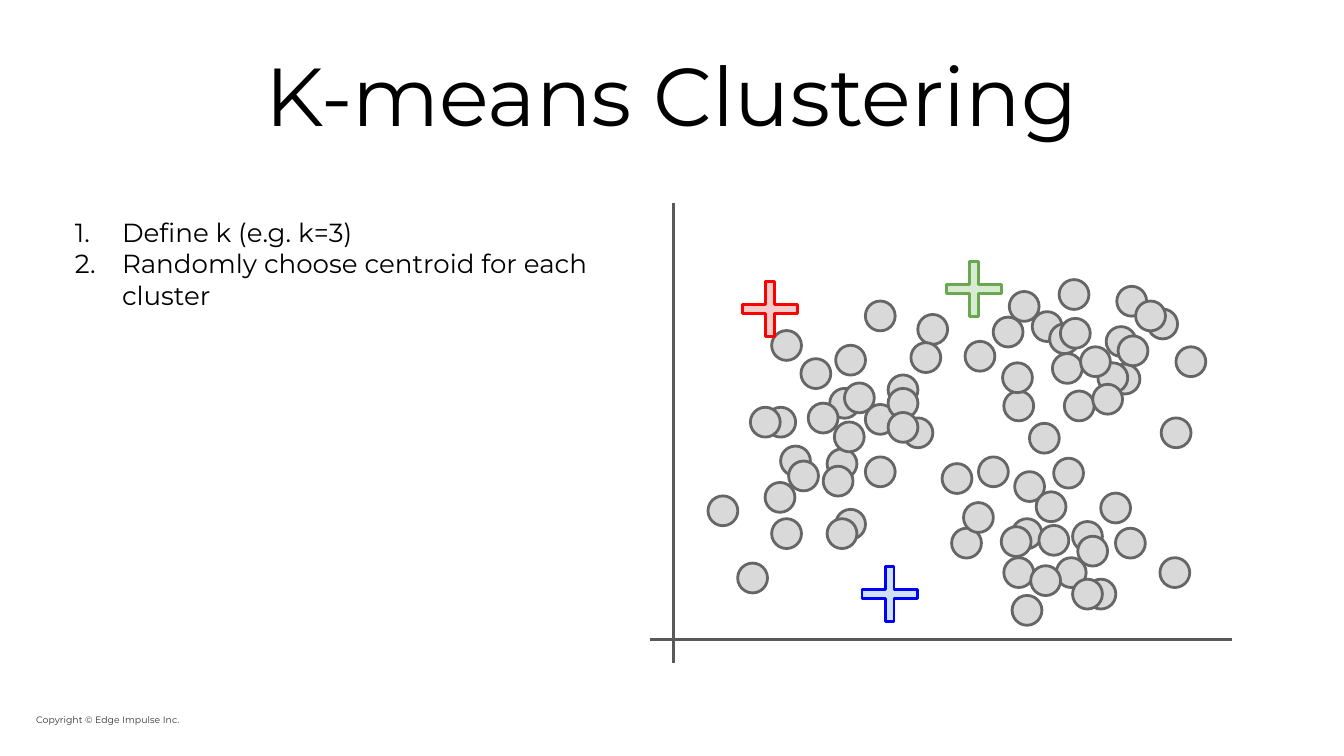
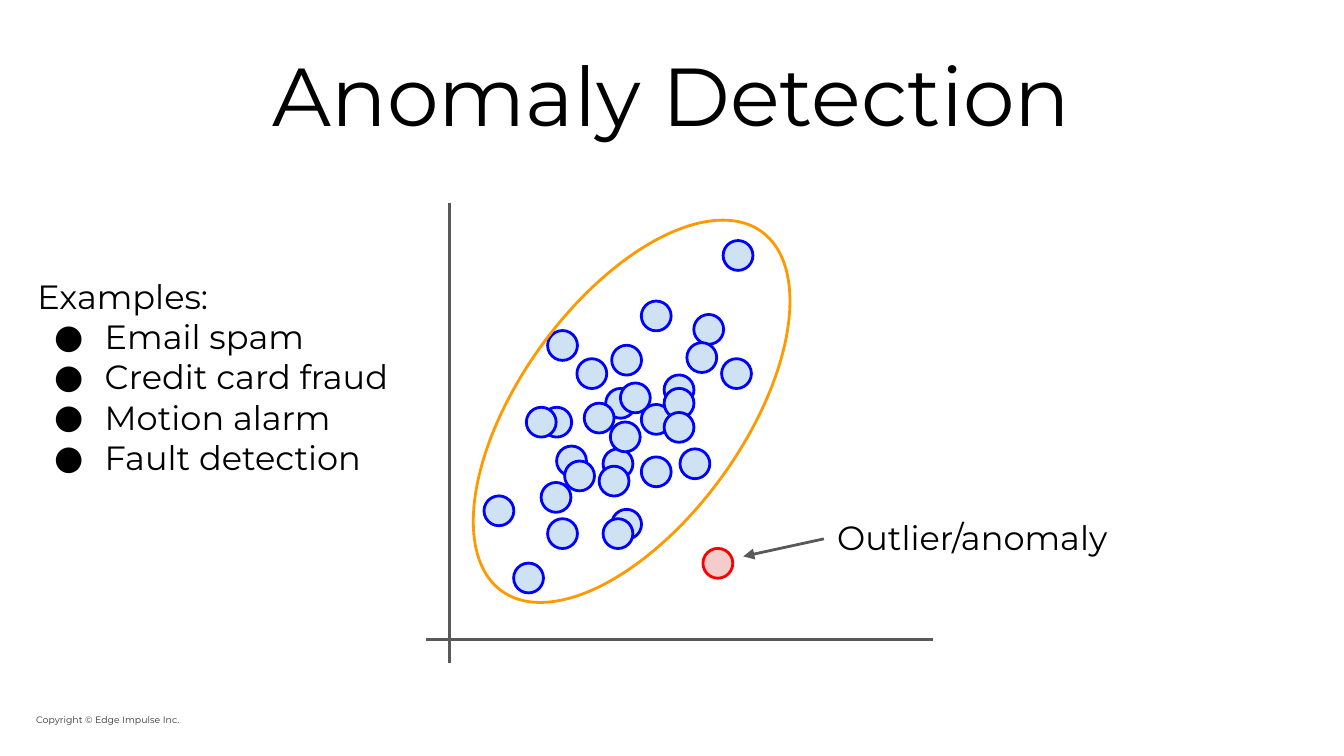
from lxml import etree
from pptx import Presentation
from pptx import util as u
from pptx.dml.color import RGBColor
from pptx.enum import shapes, text
from pptx.oxml.ns import qn

FONT = "Montserrat"
COLORS = {
    "text": "000000", "footer": "333333", "axis": "595959", "boundary": "FF9900",
    "gray_fill": "D9D9D9", "gray_line": "666666",
    "red_fill": "F4CCCC", "red_line": "FF0000",
    "blue_fill": "CFE2F3", "blue_line": "0000FF",
    "green_fill": "D9EAD3", "green_line": "6AA84F",
}
LINE_WIDTH = 1.5
DOT = 16
PLUS = 40.3
AXIS_TOP, AXIS_BASE, AXIS_END = 108.7, 342.7, 355
KMEANS_X, ANOMALY_X = 361, 241  # vertical axis on each slide

# Dot positions: distance right of the vertical axis, top on the slide
LEFT_CLUSTER = [
    (52.4, 177.1), (86.7, 185), (68.1, 192.2), (57.2, 239), (83.5, 208.1),
    (114.8, 200.9), (82.1, 240.5), (102.6, 161.3), (102.6, 216.7), (86.7, 272.9),
    (114.8, 208.1), (49.3, 218.2), (52.4, 277.9), (130.7, 168.5), (48.9, 258.5),
    (18.3, 265.7), (41, 218.2), (127, 183.6), (80, 249.8), (34.2, 301.7),
    (82.1, 277.9), (102.6, 244.8), (72, 216), (86, 226.1), (114.8, 221),
    (91.4, 205.2), (61.5, 247),
]
LOWER_CLUSTER = [
    (236.6, 283), (228.7, 264.2), (182.6, 252.7), (213.6, 279.4), (220.8, 310.3),
    (181.2, 277.9), (260.4, 298.8), (204.9, 298.8), (148.8, 283), (213.6, 310.3),
    (203.5, 245.5), (143.7, 248.4), (163.2, 244.8), (190.5, 226.8), (155.2, 269.3),
    (181.2, 319), (176.8, 298.8), (194.1, 263.5), (195.6, 281.5), (191.2, 303.1),
    (216.4, 287.3), (175.4, 282.2),
]
UPPER_CLUSTER = [
    (253.9, 165.6), (237.3, 153.4), (192, 167), (231.6, 175), (269, 185.8),
    (202.8, 189.4), (247.4, 161.3), (233.7, 195.1), (176.8, 209.5), (227.2, 194.4),
    (206.4, 149.8), (156, 182.9), (171.1, 169.9), (201.3, 173.5), (176.1, 194.4),
    (261.1, 223.9), (209.2, 209.5), (207.1, 170.6), (217.9, 185.8), (224.4, 205.9),
    (238, 180), (179.7, 156.2),
]
KMEANS_EXTRA = [(122.8, 223.9)]
ANOMALY_EXTRA = [(146.4, 128.9), (145.6, 192.2), (123.3, 240.5)]
CENTROIDS = [("red", 31.4, 145.4), ("blue", 95.5, 298), ("green", 140.8, 134.6)]
OUTLIER = (135.6, 293.8)


def rgb(name):
    return RGBColor.from_string(COLORS[name])


def add_text(s, box, lines, size, color="text", margins=(7.2, 7.2), grow=True):
    sp = s.shapes.add_textbox(*map(u.Pt, box))
    tf = sp.text_frame
    tf.word_wrap = True
    tf.auto_size = (text.MSO_AUTO_SIZE.SHAPE_TO_FIT_TEXT if grow
                    else text.MSO_AUTO_SIZE.NONE)
    tf.margin_left = tf.margin_right = u.Pt(margins[0])
    tf.margin_top = tf.margin_bottom = u.Pt(margins[1])
    tf.text = "\n".join(lines)
    for p in tf.paragraphs:
        for r in p.runs:
            r.font.name = FONT
            r.font.size = u.Pt(size)
            r.font.color.rgb = rgb(color)
    return tf


def set_bullet(p, hanging, tag, **attrs):
    pPr = p._p.get_or_add_pPr()
    pPr.set("marL", str(u.Pt(36)))
    pPr.set("indent", str(-u.Pt(hanging)))
    clr = etree.SubElement(pPr, qn("a:buClr"))
    etree.SubElement(clr, qn("a:srgbClr"), val=COLORS["text"])
    etree.SubElement(pPr, qn("a:buFont"), typeface=FONT)
    etree.SubElement(pPr, qn(tag), **attrs)


def add_line(s, start, end, arrow=False):
    sp = s.shapes.add_connector(shapes.MSO_CONNECTOR.STRAIGHT,
                                *map(u.Pt, start + end))
    sp.line.color.rgb = rgb("axis")
    sp.line.width = u.Pt(LINE_WIDTH)
    if arrow:
        etree.SubElement(sp.line._get_or_add_ln(), qn("a:tailEnd"), type="triangle")
    etree.SubElement(sp._element.spPr, qn("a:effectLst"))


def add_mark(s, kind, box, line, fill=None):
    sp = s.shapes.add_shape(kind, *map(u.Pt, box))
    sp.shadow.inherit = False
    if fill:
        sp.fill.solid()
        sp.fill.fore_color.rgb = rgb(fill)
    else:
        sp.fill.background()
    sp.line.color.rgb = rgb(line)
    sp.line.width = u.Pt(LINE_WIDTH)
    return sp


def add_dots(s, axis_x, points, hue):
    for x, y in points:
        add_mark(s, shapes.MSO_SHAPE.OVAL, (axis_x + x, y, DOT, DOT),
                 hue + "_line", hue + "_fill")


def add_axes(s, axis_x, right):
    add_line(s, (axis_x, AXIS_TOP), (axis_x, AXIS_END))
    add_line(s, (axis_x - 13, AXIS_BASE), (right, AXIS_BASE))


def add_slide(prs, title):
    s = prs.slides.add_slide(prs.slide_layouts[6])
    add_text(s, (19.4, 382.3, 98.6, 6.8), ["Copyright © Edge Impulse Inc."], 5,
             "footer", (0, 0.5))
    tf = add_text(s, (36, 16.6, 648, 67.7), [title], 44, margins=(7.2, 3.6), grow=False)
    tf.vertical_anchor = text.MSO_ANCHOR.MIDDLE
    tf.paragraphs[0].alignment = text.PP_ALIGN.CENTER
    return s


def kmeans_slide(prs):
    s = add_slide(prs, "K-means Clustering")
    add_axes(s, KMEANS_X, 660)
    add_dots(s, KMEANS_X,
             KMEANS_EXTRA + LEFT_CLUSTER + LOWER_CLUSTER + UPPER_CLUSTER, "gray")
    # Starting centroids
    for hue, x, y in CENTROIDS:
        sp = add_mark(s, shapes.MSO_SHAPE.MATH_PLUS, (KMEANS_X + x, y, PLUS, PLUS),
                      hue + "_line", hue + "_fill")
        sp.adjustments[0] = 0.117
    # Numbered steps
    tf = add_text(s, (22.3, 108.7, 311.8, 65.5),
                  ["Define k (e.g. k=3)", "Randomly choose centroid for each cluster"], 14)
    for p in tf.paragraphs:
        set_bullet(p, 25.2, "a:buAutoNum", type="arabicPeriod")


def anomaly_slide(prs):
    s = add_slide(prs, "Anomaly Detection")
    add_axes(s, ANOMALY_X, 499.7)
    add_dots(s, ANOMALY_X, ANOMALY_EXTRA + LEFT_CLUSTER, "blue")
    add_dots(s, ANOMALY_X, [OUTLIER], "red")
    # Boundary of normal data
    sp = add_mark(s, shapes.MSO_SHAPE.OVAL, (219.6, 160.6, 237.6, 119.5), "boundary")
    sp.rotation = 305.9
    # Outlier label
    add_text(s, (441.4, 270, 177, 36), ["Outlier/anomaly"], 18)
    add_line(s, (441.4, 288.7), (398.2, 298.1), arrow=True)
    # Examples
    tf = add_text(s, (13, 140.4, 211.7, 123.8),
                  ["Examples:", "Email spam", "Credit card fraud", "Motion alarm",
                   "Fault detection"], 18)
    for p in tf.paragraphs[1:]:
        set_bullet(p, 27, "a:buChar", char="●")


def main():
    prs = Presentation()
    prs.slide_width, prs.slide_height = u.Pt(720), u.Pt(405)
    kmeans_slide(prs)
    anomaly_slide(prs)
    prs.save("out.pptx")


if __name__ == "__main__":
    main()
